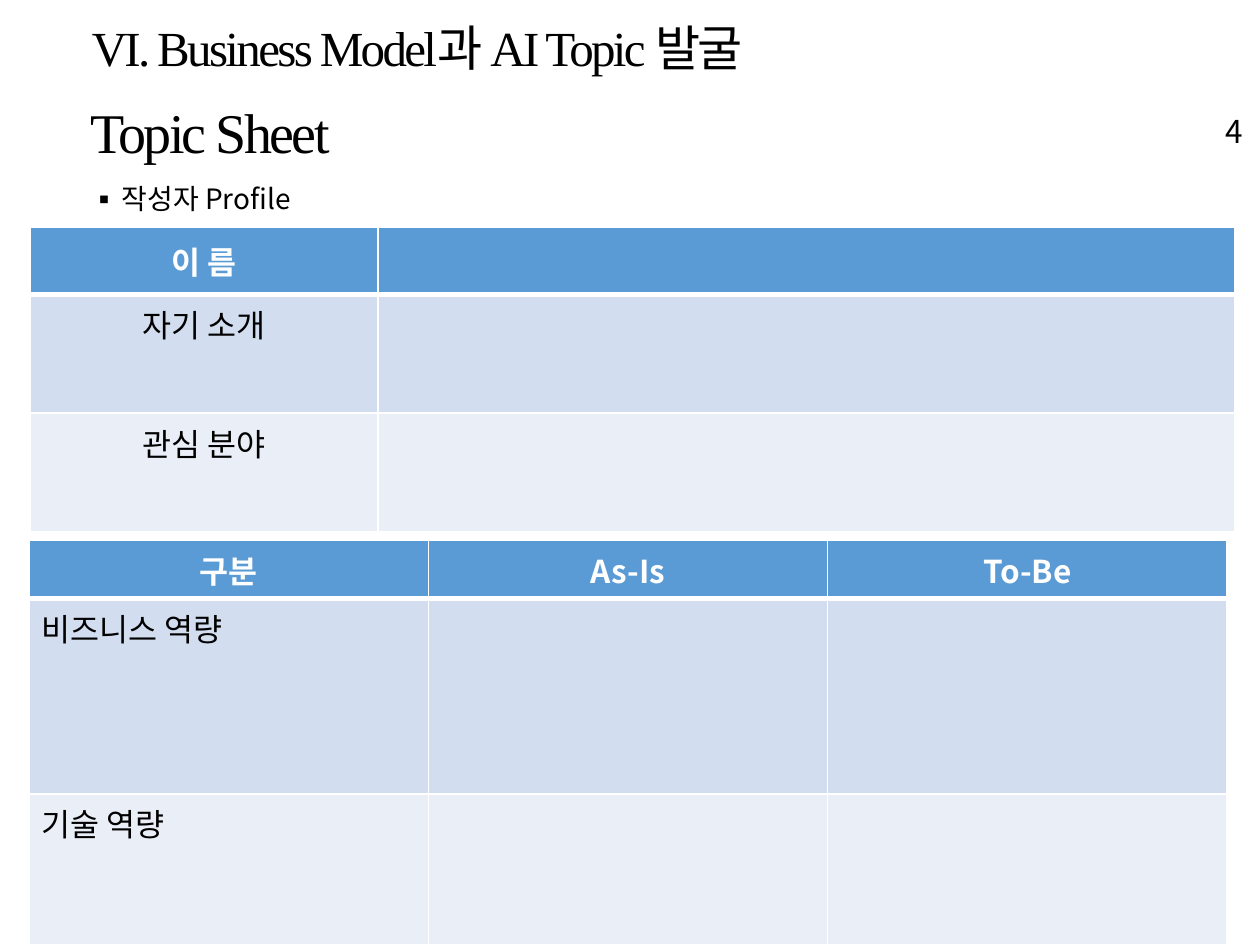
from pptx import Presentation
from pptx.dml.color import RGBColor
from pptx.enum.text import MSO_ANCHOR, PP_ALIGN
from pptx.oxml.ns import qn
from pptx.util import Inches, Pt
from lxml.etree import SubElement

SANS, SERIF = "Noto Sans CJK KR", "Times New Roman"
BLACK, WHITE = "000000", "FFFFFF"
HEAD, BANDS = "5B9BD5", ("D2DEEF", "EAEFF7")
LEFT, CENTER, RIGHT = PP_ALIGN.LEFT, PP_ALIGN.CENTER, PP_ALIGN.RIGHT
TOP, MIDDLE, BOTTOM = MSO_ANCHOR.TOP, MSO_ANCHOR.MIDDLE, MSO_ANCHOR.BOTTOM


def color(text):
    return RGBColor.from_string(text)


def write(para, text, tint=BLACK, align=LEFT, track=0, **style):
    """Add one run; track is the letter spacing in points."""
    para.alignment = align
    run = para.add_run()
    run.text = text
    looks = {"size": Pt(18), "name": SANS, "bold": False, **style}
    for key, value in looks.items():
        setattr(run.font, key, value)
    run.font.color.rgb = color(tint)
    props = run.font._element
    SubElement(props, qn("a:ea"), typeface=SANS)
    if track:
        props.set("spc", str(int(track * 100)))


def add_text(slide, box, text, anchor=TOP, **style):
    frame = slide.shapes.add_textbox(*map(Inches, box)).text_frame
    frame.word_wrap = True
    frame.vertical_anchor = anchor
    para = frame.paragraphs[0]
    write(para, text, **style)
    return para


def add_bullet(para, mark, indent):
    props = para._p.get_or_add_pPr()
    props.set("marL", str(Inches(indent)))
    props.set("indent", str(-Inches(indent)))
    SubElement(props, qn("a:buFont"), typeface=SANS)
    SubElement(props, qn("a:buChar"), char=mark)


def add_edges(cell, row):
    """Draw white cell borders, thick between the header and the body."""
    props = cell._tc.get_or_add_tcPr()
    widths = {"L": 1, "R": 1, "T": 3 if row == 1 else 1, "B": 3 if row == 0 else 1}
    for side, width in widths.items():
        line = SubElement(props, qn("a:ln" + side), w=str(Pt(width)))
        fill = SubElement(line, qn("a:solidFill"))
        SubElement(fill, qn("a:srgbClr"), val=WHITE)


def add_grid(slide, place, cols, rows, texts, align, anchor):
    """Place a banded table; align is for body cells, anchor for the header."""
    size = sum(cols), sum(rows)
    table = slide.shapes.add_table(
        len(rows), len(cols), *map(Inches, (*place, *size))).table
    for col, width in zip(table.columns, cols):
        col.width = Inches(width)
    for r, height in enumerate(rows):
        table.rows[r].height = Inches(height)
        for c in range(len(cols)):
            cell = table.cell(r, c)
            add_edges(cell, r)
            cell.fill.solid()
            cell.fill.fore_color.rgb = color(BANDS[(r - 1) % 2] if r else HEAD)
            cell.vertical_anchor = TOP if r else anchor
            text = texts[r][c] if c < len(texts[r]) else ""
            if text:
                write(cell.text_frame.paragraphs[0], text,
                      tint=BLACK if r else WHITE,
                      align=align if r else CENTER, bold=r == 0)


def add_header(slide):
    serif = {"name": SERIF, "track": -1.5}
    title = add_text(slide, (0.63, 0.04, 8.62, 0.73),
                     "VI. Business Model과 AI Topic 발굴",
                     MIDDLE, size=Pt(28), **serif)
    title.line_spacing = 0.9
    add_text(slide, (0.62, 0.77, 7.89, 0.59), "Topic Sheet",
             BOTTOM, size=Pt(32), **serif)
    add_text(slide, (9.46, 0.84, 0.5, 0.4), "4", align=RIGHT)
    label = add_text(slide, (0.62, 1.39, 9.34, 0.49), "작성자 Profile", size=Pt(16))
    add_bullet(label, "▪", 0.25)


def main():
    deck = Presentation()
    deck.slide_width, deck.slide_height = Inches(10), Inches(7.5)
    slide = deck.slides.add_slide(deck.slide_layouts[6])
    add_header(slide)
    add_grid(slide, (0.24, 1.8), (2.76, 6.8), (0.54, 0.94, 0.94),
             [["이 름"], ["자기 소개"], ["관심 분야"]], CENTER, MIDDLE)
    add_grid(slide, (0.23, 4.29), [3.17] * 3, (0.46, 1.55, 1.2),
             [["구분", "As-Is", "To-Be"], ["비즈니스 역량"], ["기술 역량"]],
             LEFT, TOP)
    deck.save("out.pptx")


if __name__ == "__main__":
    main()
